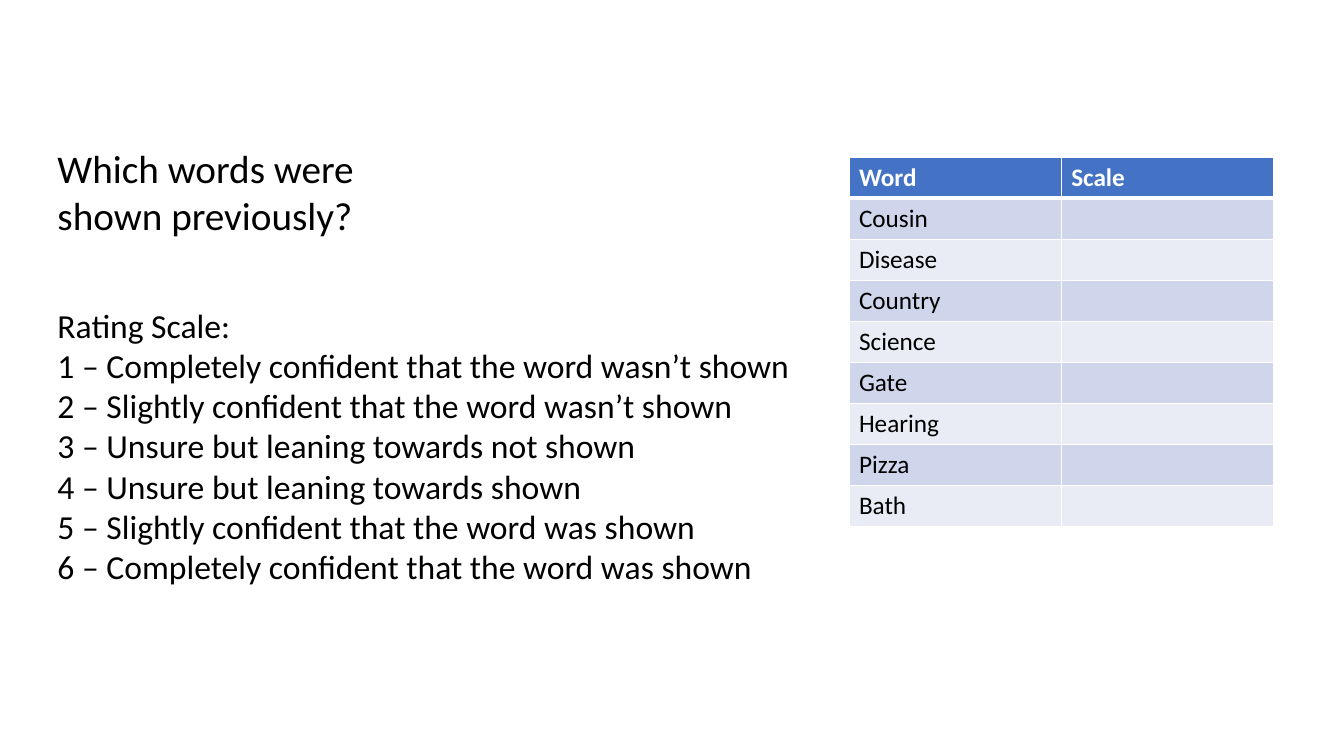
from dataclasses import dataclass

from lxml.etree import SubElement
from pptx import Presentation
from pptx.dml.color import RGBColor
from pptx.enum.text import MSO_ANCHOR, MSO_AUTO_SIZE, PP_ALIGN
from pptx.oxml.ns import qn
from pptx.slide import Slide
from pptx.table import _Cell
from pptx.text.text import TextFrame
from pptx.util import Inches, Pt

COLORS = {
    "text": "000000",
    "header_text": "FFFFFF",
    "header": "4472C4",
    "odd_row": "CFD5EA",
    "even_row": "E9EBF5",
    "border": "FFFFFF",
}
FONT = "Calibri"
WORDS = ["Cousin", "Disease", "Country", "Science", "Gate", "Hearing", "Pizza", "Bath"]


@dataclass(frozen=True)
class TextBlock:
    placeholder: int
    left: float
    top: float
    width: float
    height: float
    size: int
    lines: tuple[str, ...]


TEXT_BLOCKS = [
    TextBlock(0, 0.47, 1.38, 4.32, 1.04, 28, ("Which words were", "shown previously?")),
    TextBlock(1, 0.47, 2.97, 7.6, 2.93, 24, (
        "Rating Scale:",
        "1 – Completely confident that the word wasn’t shown",
        "2 – Slightly confident that the word wasn’t shown",
        "3 – Unsure but leaning towards not shown",
        "4 – Unsure but leaning towards shown",
        "5 – Slightly confident that the word was shown",
        "6 – Completely confident that the word was shown",
    )),
]


def write_text(frame: TextFrame, *lines: str, size: int, color: str = "text",
               bold: bool = False) -> None:
    """Fill the frame with one plain, left-aligned paragraph per line."""
    for index, line in enumerate(lines):
        paragraph = frame.add_paragraph() if index else frame.paragraphs[0]
        paragraph.alignment = PP_ALIGN.LEFT
        paragraph.line_spacing = 1.0
        paragraph.space_before = paragraph.space_after = Pt(0)
        properties = paragraph._p.get_or_add_pPr()
        properties.set("marL", "0")
        properties.set("indent", "0")
        SubElement(properties, qn("a:buNone"))
        font = paragraph.font if not line else paragraph.add_run().font
        if line:
            paragraph.runs[0].text = line
        font.name = FONT
        font.size = Pt(size)
        font.bold = bold
        font.color.rgb = RGBColor.from_string(COLORS[color])


def fill_placeholder(slide: Slide, block: TextBlock) -> None:
    shape = slide.placeholders[block.placeholder]
    shape.left, shape.top = Inches(block.left), Inches(block.top)
    shape.width, shape.height = Inches(block.width), Inches(block.height)
    frame = shape.text_frame
    frame.word_wrap = True
    frame.auto_size = MSO_AUTO_SIZE.NONE
    frame.vertical_anchor = MSO_ANCHOR.TOP
    write_text(frame, *block.lines, size=block.size)


def style_cell(cell: _Cell, fill: str, top: int = 1, bottom: int = 1) -> None:
    """Set the fill and the borders, whose widths are in points."""
    properties = cell._tc.get_or_add_tcPr()
    for side, width in {"L": 1, "R": 1, "T": top, "B": bottom}.items():
        line = SubElement(properties, qn(f"a:ln{side}"), w=str(Pt(width)))
        solid = SubElement(line, qn("a:solidFill"))
        SubElement(solid, qn("a:srgbClr"), val=COLORS["border"])
    cell.fill.solid()
    cell.fill.fore_color.rgb = RGBColor.from_string(COLORS[fill])


def add_word_table(slide: Slide) -> None:
    rows = [("Word", "Scale")] + [(word, "") for word in WORDS]
    table = slide.shapes.add_table(len(rows), 2, Inches(8.42), Inches(1.56),
                                   Inches(4.21), Inches(3.67)).table
    for row_index, row in enumerate(rows):
        header = row_index == 0
        fill = "header" if header else "odd_row" if row_index % 2 else "even_row"
        for column_index, text in enumerate(row):
            cell = table.cell(row_index, column_index)
            write_text(cell.text_frame, text, size=18, bold=header,
                       color="header_text" if header else "text")
            style_cell(cell, fill, top=3 if row_index == 1 else 1,
                       bottom=3 if header else 1)


def main() -> None:
    presentation = Presentation()
    presentation.slide_width = Inches(13.33)
    presentation.slide_height = Inches(7.5)
    slide = presentation.slides.add_slide(presentation.slide_layouts[1])
    add_word_table(slide)
    for block in TEXT_BLOCKS:
        fill_placeholder(slide, block)
    presentation.save("out.pptx")


if __name__ == "__main__":
    main()
